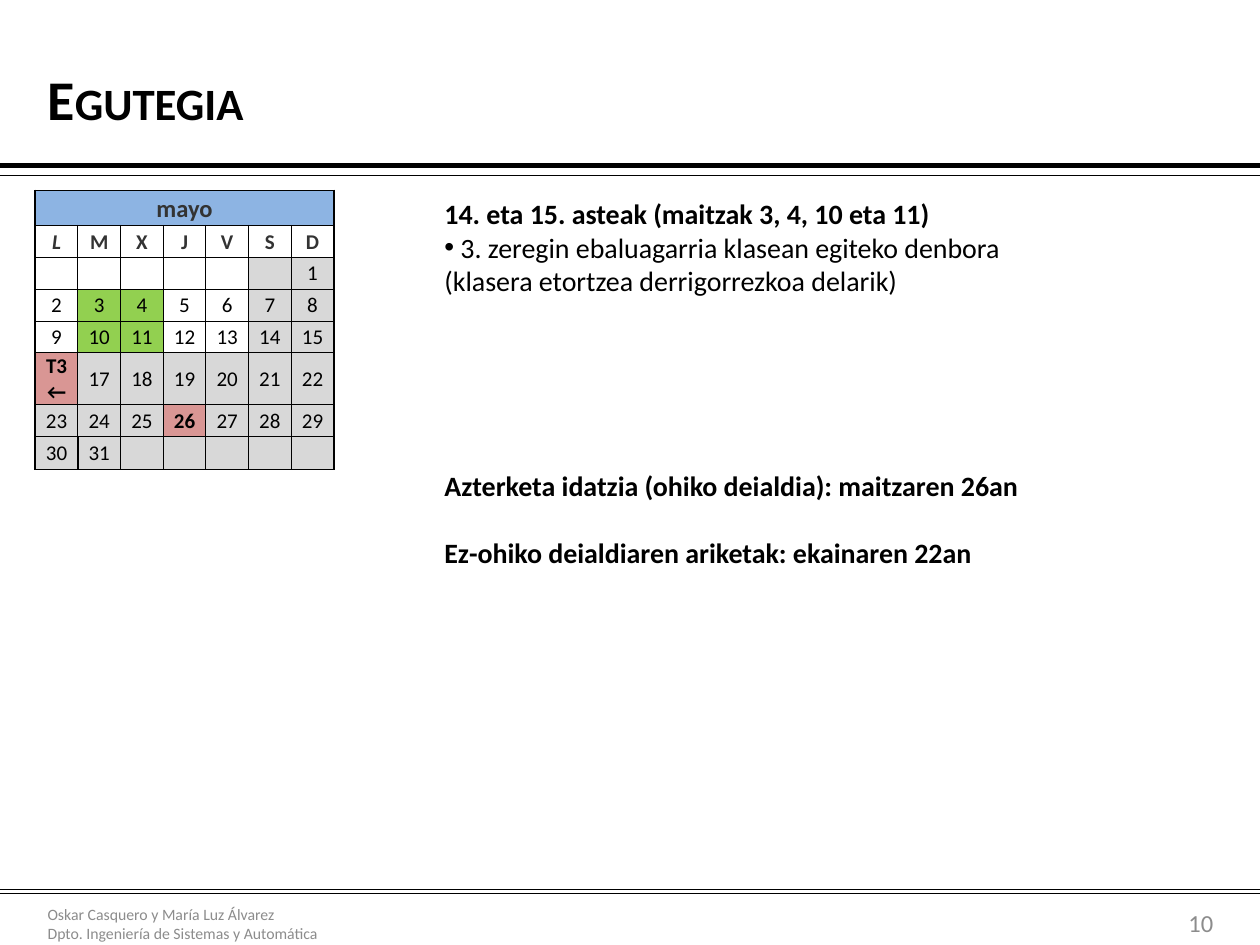
from dataclasses import dataclass

from lxml import etree
from pptx import Presentation
from pptx.dml.color import RGBColor
from pptx.enum import shapes, text
from pptx.oxml import ns
from pptx.util import Cm, Pt

BLACK = RGBColor(0x00, 0x00, 0x00)
DARK = RGBColor(0x33, 0x33, 0x33)
GRAY = RGBColor(0x8C, 0x8C, 0x8C)
WHITE = RGBColor(0xFF, 0xFF, 0xFF)
BLUE = RGBColor(0x8D, 0xB4, 0xE3)
DAY_OFF = RGBColor(0xD8, 0xD8, 0xD8)
CLASS_DAY = RGBColor(0x92, 0xD0, 0x50)
EXAM = RGBColor(0xD9, 0x96, 0x94)
FONT = "Calibri"
SLIDE_W = 25.4


@dataclass
class Line:
    text: str
    bold: bool = False
    bullet: bool = False
    before: float = 0


@dataclass
class Box:
    left: float
    top: float
    width: float
    height: float
    lines: list[Line]
    size: int
    color: RGBColor = BLACK
    anchor: text.MSO_ANCHOR = text.MSO_ANCHOR.MIDDLE
    align: text.PP_ALIGN = text.PP_ALIGN.LEFT
    small_caps: bool = False


@dataclass
class Rule:
    y: float
    weight: float


def add_run(p, content: str, size: int, color: RGBColor, bold: bool = False):
    r = p.add_run()
    r.text = content
    r.font.name, r.font.size, r.font.bold = FONT, Pt(size), bold
    r.font.color.rgb = color
    return r


def add_box(s, box: Box) -> None:
    sp = s.shapes.add_textbox(Cm(box.left), Cm(box.top), Cm(box.width), Cm(box.height))
    tf = sp.text_frame
    tf.word_wrap = True
    tf.vertical_anchor = box.anchor
    for i, line in enumerate(box.lines):
        p = tf.add_paragraph() if i else tf.paragraphs[0]
        p.alignment = box.align
        p.space_before = Pt(line.before)
        r = add_run(p, line.text, box.size, box.color, line.bold)
        if box.small_caps:
            r.font._element.set("cap", "small")
        if line.bullet:
            pPr = p._p.get_or_add_pPr()
            pPr.set("marL", "0")
            pPr.set("indent", "0")
            etree.SubElement(pPr, ns.qn("a:buFont"), typeface="Arial")
            etree.SubElement(pPr, ns.qn("a:buChar"), char="•")


def add_rule(s, rule: Rule) -> None:
    sp = s.shapes.add_connector(
        shapes.MSO_CONNECTOR.STRAIGHT, 0, Cm(rule.y), Cm(SLIDE_W), Cm(rule.y))
    sp.line.color.rgb = BLACK
    sp.line.width = Pt(rule.weight)
    etree.SubElement(sp._element.spPr, ns.qn("a:effectLst"))


def set_borders(cell, weights: dict[str, float]) -> None:
    tcPr = cell._tc.get_or_add_tcPr()
    for i, side in enumerate("LRTB"):
        ln = etree.Element(ns.qn(f"a:ln{side}"), w=str(Pt(weights[side])))
        fill = etree.SubElement(ln, ns.qn("a:solidFill"))
        etree.SubElement(fill, ns.qn("a:srgbClr"), val=str(BLACK))
        tcPr.insert(i, ln)


def day_fill(row: int, col: int, label: str) -> RGBColor:
    if row == 0:
        return BLUE
    if label in EXAM_DAYS:
        return EXAM
    if label in CLASS_DAYS:
        return CLASS_DAY
    weekend = row > 1 and col > 4
    return DAY_OFF if weekend or row >= FIRST_FREE_ROW else WHITE


def add_calendar(s) -> None:
    last_row, last_col = len(CALENDAR) - 1, 6
    frame = s.shapes.add_table(len(CALENDAR), 7, Cm(0.71), Cm(3.84), Cm(6), Cm(5.6))
    table = frame.table
    for column in table.columns:
        column.width = Cm(0.86)
    for row, height in zip(table.rows, ROW_HEIGHTS):
        row.height = Cm(height)
    for i, labels in enumerate(CALENDAR):
        for j, label in enumerate(labels):
            cell = table.cell(i, j)
            cell.margin_left = cell.margin_right = cell.margin_top = Cm(0.02)
            cell.margin_bottom = 0
            cell.vertical_anchor = text.MSO_ANCHOR.MIDDLE
            cell.fill.solid()
            cell.fill.fore_color.rgb = day_fill(i, j, label)
            thick = {
                "L": j == 0 or i == 0 or (i, j) == (last_row, 1),
                "R": j == last_col or i == 0 or (i, j) == (last_row, 0),
                "T": i <= 2,
                "B": i <= 1 or (i == last_row and j > 1),
            }
            set_borders(cell, {side: 1 if on else 0.5 for side, on in thick.items()})
            tf = cell.text_frame
            for k, part in enumerate(label.split("\n")):
                p = tf.add_paragraph() if k else tf.paragraphs[0]
                p.alignment = text.PP_ALIGN.CENTER
                if part:
                    r = add_run(p, part, 12 if i else 14, DARK if i < 2 else BLACK,
                                i < 2 or label in EXAM_DAYS)
                    r.font.italic = part == "L"
                else:
                    etree.SubElement(p._p, ns.qn("a:endParaRPr"), sz="1200")
    table.cell(0, 0).merge(table.cell(0, last_col))


# Calendar of May: title, weekdays, weeks
CALENDAR = [["mayo"] + [""] * 6, list("LMXJVSD"), [""] * 6 + ["1"]]
CALENDAR += [[str(day) for day in range(first, first + 7)] for first in (2, 9, 16, 23)]
CALENDAR += [["30", "31"] + [""] * 5]
CALENDAR[5][0] = "T3\n←"
ROW_HEIGHTS = [0.71, 0.64, 0.64, 0.64, 0.64, 1.05, 0.64, 0.66]
FIRST_FREE_ROW = 5
EXAM_DAYS = {"T3\n←", "26"}
CLASS_DAYS = {"3", "4", "10", "11"}

RULES = [Rule(3.33, 3), Rule(3.53, 0.25), Rule(17.93, 0.25), Rule(18.01, 0.25)]

BOXES = [
    # Footer
    Box(0.71, 18.11, 9.4, 1.02, [
        Line("Oskar Casquero y María Luz Álvarez"),
        Line("Dpto. Ingeniería de Sistemas y Automática"),
    ], 9, GRAY),
    # Title
    Box(0.71, 0.74, 24, 2.49, [Line("Egutegia", bold=True)], 32, small_caps=True),
    # Page number
    Box(22.71, 18.24, 2, 0.71, [Line("10")], 14, GRAY, align=text.PP_ALIGN.RIGHT),
    # Course notes
    Box(8.71, 3.84, 13.59, 7.77, [
        Line("14. eta 15. asteak (maitzak 3, 4, 10 eta 11)", bold=True),
        Line(" 3. zeregin ebaluagarria klasean egiteko denbora "
             "(klasera etortzea derrigorrezkoa delarik)", bullet=True),
        Line("Azterketa idatzia (ohiko deialdia): maitzaren 26an", bold=True, before=97.5),
        Line("Ez-ohiko deialdiaren ariketak: ekainaren 22an", bold=True, before=19.5),
    ], 16, anchor=text.MSO_ANCHOR.TOP),
]

prs = Presentation()
prs.slide_width, prs.slide_height = Cm(SLIDE_W), Cm(19.05)
s = prs.slides.add_slide(prs.slide_layouts[6])
for rule in RULES:
    add_rule(s, rule)
for box in BOXES:
    add_box(s, box)
add_calendar(s)
prs.save("out.pptx")
